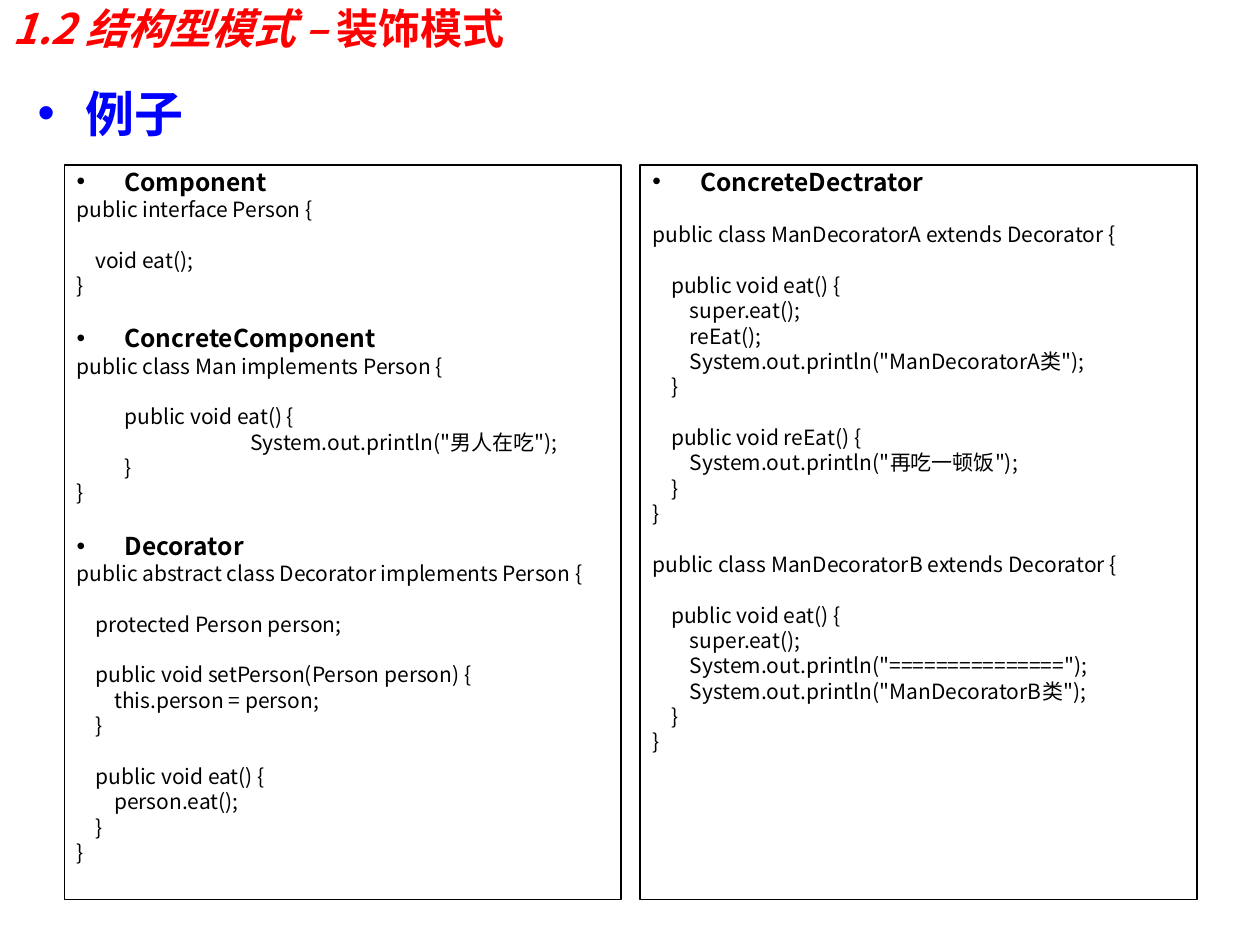
from dataclasses import dataclass

from lxml.etree import SubElement
from pptx import Presentation
from pptx.dml.color import RGBColor
from pptx.enum.text import MSO_ANCHOR
from pptx.oxml.ns import qn
from pptx.util import Inches, Pt

RED = RGBColor(0xFF, 0x00, 0x00)
BLUE = RGBColor(0x00, 0x00, 0xFF)
BLACK = RGBColor(0x00, 0x00, 0x00)
CJK_FONT = "Noto Sans CJK SC"
LATIN_FONT = "Calibri"

# Panel grid: two equal columns
PANEL_LEFT, PANEL_TOP, PANEL_STEP = 0.51, 1.31, 4.57
PANEL_WIDTH, PANEL_HEIGHT = 4.42, 5.83

# Text rhythm
HANGING = 0.38
TAB_MARGINS = (0, 0.38, 1.38)  # left margin by number of leading tabs
LINE_RATIO = 1.02
CODE_SIZE, HEADING_SIZE = 12, 14
CODE_SPACE, HEADING_SPACE = 2.3, 2.8
BLANK_LINE = 14.5


@dataclass(frozen=True)
class Section:
    role: str
    code: str


LEFT_SECTIONS = (
    Section("Component", """\
public interface Person {

    void eat();
}"""),
    Section("ConcreteComponent", """\
public class Man implements Person {

\tpublic void eat() {
\t\tSystem.out.println("男人在吃");
\t}
}"""),
    Section("Decorator", """\
public abstract class Decorator implements Person {

    protected Person person;

    public void setPerson(Person person) {
        this.person = person;
    }

    public void eat() {
        person.eat();
    }
}"""),
)

RIGHT_SECTIONS = (
    Section("ConcreteDectrator", """\

public class ManDecoratorA extends Decorator {

    public void eat() {
        super.eat();
        reEat();
        System.out.println("ManDecoratorA类");
    }

    public void reEat() {
        System.out.println("再吃一顿饭");
    }
}

public class ManDecoratorB extends Decorator {

    public void eat() {
        super.eat();
        System.out.println("===============");
        System.out.println("ManDecoratorB类");
    }
}"""),
)


def add_frame(slide, left: float, top: float, width: float, height: float):
    box = slide.shapes.add_textbox(Inches(left), Inches(top), Inches(width), Inches(height))
    box.text_frame.word_wrap = True
    return box


def next_paragraph(frame):
    first = frame.paragraphs[0]
    return frame.add_paragraph() if first.runs else first


def set_font(font, name: str, size: float, color: RGBColor, bold: bool) -> None:
    font.size, font.bold = Pt(size), bold
    font.color.rgb = color
    font.name = name


def add_bullet(paragraph, color: RGBColor) -> None:
    properties = paragraph._p.get_or_add_pPr()
    properties.set("marL", str(Inches(HANGING)))
    properties.set("indent", str(-Inches(HANGING)))
    bullet_color = SubElement(properties, qn("a:buClr"))
    SubElement(bullet_color, qn("a:srgbClr")).set("val", str(color))
    SubElement(properties, qn("a:buFont")).set("typeface", "Arial")
    SubElement(properties, qn("a:buChar")).set("char", "•")


def write_line(frame, text: str, name: str, size: float, color: RGBColor = BLACK,
               bold: bool = False, bullet: bool = False, before: float = 0) -> None:
    paragraph = next_paragraph(frame)
    words = text.lstrip("\t")
    paragraph.line_spacing = Pt(round(size * LINE_RATIO, 1))
    if before:
        paragraph.space_before = Pt(before)
    if bullet:
        add_bullet(paragraph, color)
    else:
        margin = TAB_MARGINS[len(text) - len(words)]
        paragraph._p.get_or_add_pPr().set("marL", str(Inches(margin)))
    paragraph.add_run().text = words
    set_font(paragraph.font, name, size, color, bold)
    east_asian = SubElement(paragraph.font._rPr, qn("a:ea"))
    east_asian.set("typeface", CJK_FONT)


def draw_panel(slide, column: int, sections: tuple[Section, ...]) -> None:
    panel = add_frame(slide, PANEL_LEFT + column * PANEL_STEP, PANEL_TOP,
                      PANEL_WIDTH, PANEL_HEIGHT)
    panel.line.color.rgb = BLACK
    panel.line.width = Pt(0.75)
    for number, section in enumerate(sections):
        write_line(panel.text_frame, section.role, CJK_FONT, HEADING_SIZE, bold=True,
                   bullet=True, before=HEADING_SPACE + BLANK_LINE if number else 0)
        gap = 0
        for line in section.code.split("\n"):
            if not line:
                gap += BLANK_LINE
                continue
            write_line(panel.text_frame, line, CJK_FONT, CODE_SIZE, before=CODE_SPACE + gap)
            gap = 0


def draw_title(slide) -> None:
    frame = add_frame(slide, 0, 0, 9, 0.44).text_frame
    frame.vertical_anchor = MSO_ANCHOR.MIDDLE
    title = frame.paragraphs[0]
    for text, name, italic in (("1.2 结构型模式 – ", CJK_FONT, True),
                               ("装饰模式", LATIN_FONT, False)):
        run = title.add_run()
        run.text = text
        set_font(run.font, name, 24, RED, True)
        run.font.italic = italic
        SubElement(run.font._rPr, qn("a:ea")).set("typeface", CJK_FONT)


def main() -> None:
    deck = Presentation()
    deck.slide_width, deck.slide_height = Inches(10), Inches(7.5)
    slide = deck.slides.add_slide(deck.slide_layouts[6])

    # Title and topic
    draw_title(slide)
    topic = add_frame(slide, 0.2, 0.68, 3.54, 1.04)
    write_line(topic.text_frame, "例子", LATIN_FONT, 28, BLUE, bold=True, bullet=True)

    # Code panels
    for column, sections in enumerate((LEFT_SECTIONS, RIGHT_SECTIONS)):
        draw_panel(slide, column, sections)

    deck.save("out.pptx")


if __name__ == "__main__":
    main()
